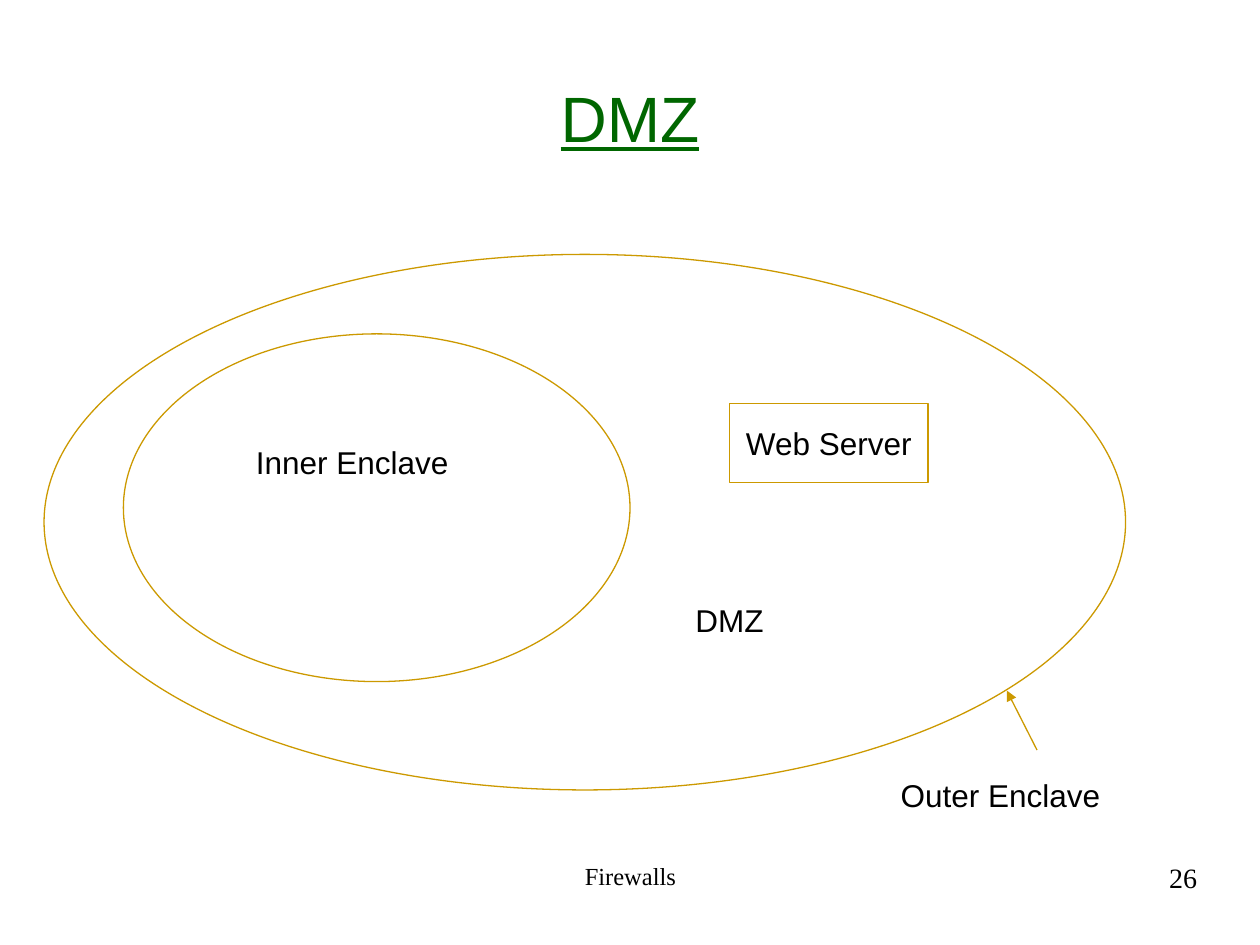
from lxml.etree import SubElement
from pptx import Presentation
from pptx.dml.color import RGBColor
from pptx.enum.shapes import MSO_CONNECTOR, MSO_SHAPE
from pptx.enum.text import MSO_ANCHOR, PP_ALIGN
from pptx.oxml.ns import qn
from pptx.util import Pt

# Content: boxes are left, top, width, height in points
ENCLAVES = [
    (70.5, 190.8, 289.5, 198.7),  # inner
    (25.2, 145.4, 618, 306),  # outer
]
WEB_SERVER = ("Web Server", (416.9, 230.4, 113.5, 45.4))
LABELS = [
    ("DMZ", (390.2, 339.8, 53.3, 28.8)),
    ("Inner Enclave", (139, 249.4, 124.6, 28.8)),
    ("Outer Enclave", (507.6, 440.2, 128.2, 28.8)),
]
ARROW = (592.6, 428.6, 575.3, 394.6)
TITLE = ("DMZ", (36, 21.6, 648, 90))
FOOTER = ("Firewalls", (246.2, 491.8, 228.2, 37.4))
PAGE_NUMBER = ("26", (516.2, 491.8, 167.8, 37.4))

THEME = {
    "title": RGBColor(0x00, 0x66, 0x00),
    "text": RGBColor(0, 0, 0),
    "line": RGBColor(0xCC, 0x99, 0x00),
    "line_width": 0.75,
    "sans": "Arial",
    "serif": "Times New Roman",
    "title_size": 36.6,
    "label_size": 18,
    "footer_size": 14,
    "number_size": 16,
}


def points(values):
    return [Pt(value) for value in values]


def write_text(shape, text, size=THEME["label_size"], font=THEME["sans"],
               color=THEME["text"], align=PP_ALIGN.CENTER,
               anchor=MSO_ANCHOR.TOP, margins=(7.2, 3.6), wrap=False,
               underline=None):
    frame = shape.text_frame
    frame.word_wrap = wrap
    frame.vertical_anchor = anchor
    frame.margin_left = frame.margin_right = Pt(margins[0])
    frame.margin_top = frame.margin_bottom = Pt(margins[1])
    paragraph = frame.paragraphs[0]
    paragraph.alignment = align
    run = paragraph.add_run()
    run.text = text
    run.font.size = Pt(size)
    run.font.name = font
    run.font.color.rgb = color
    run.font.underline = underline


def style_line(shape):
    shape.line.color.rgb = THEME["line"]
    shape.line.width = Pt(THEME["line_width"])


def add_outline(slide, kind, box):
    shape = slide.shapes.add_shape(kind, *points(box))
    shape.shadow.inherit = False
    shape.fill.background()
    style_line(shape)
    return shape


def add_text(slide, text, box, **text_format):
    write_text(slide.shapes.add_textbox(*points(box)), text, **text_format)


def add_arrow(slide, ends):
    arrow = slide.shapes.add_connector(MSO_CONNECTOR.STRAIGHT, *points(ends))
    style_line(arrow)
    SubElement(arrow.line._get_or_add_ln(), qn("a:tailEnd"), type="triangle")
    SubElement(arrow._element.spPr, qn("a:effectLst"))


def main():
    presentation = Presentation()
    presentation.slide_width, presentation.slide_height = Pt(720), Pt(540)
    slide = presentation.slides.add_slide(presentation.slide_layouts[6])

    # Title
    add_text(slide, *TITLE, size=THEME["title_size"], color=THEME["title"],
             anchor=MSO_ANCHOR.MIDDLE, margins=(0, 0), wrap=True,
             underline=True)

    # Enclaves and server
    for box in ENCLAVES:
        add_outline(slide, MSO_SHAPE.OVAL, box)
    server_name, server_box = WEB_SERVER
    server = add_outline(slide, MSO_SHAPE.RECTANGLE, server_box)
    write_text(server, server_name, anchor=MSO_ANCHOR.MIDDLE)

    # Labels and the pointer to the outer enclave
    for text, box in LABELS:
        add_text(slide, text, box)
    add_arrow(slide, ARROW)

    # Footer
    footer_format = {"font": THEME["serif"], "margins": (0, 0), "wrap": True}
    add_text(slide, *FOOTER, size=THEME["footer_size"], **footer_format)
    add_text(slide, *PAGE_NUMBER, size=THEME["number_size"],
             align=PP_ALIGN.RIGHT, **footer_format)

    presentation.save("out.pptx")


if __name__ == "__main__":
    main()
